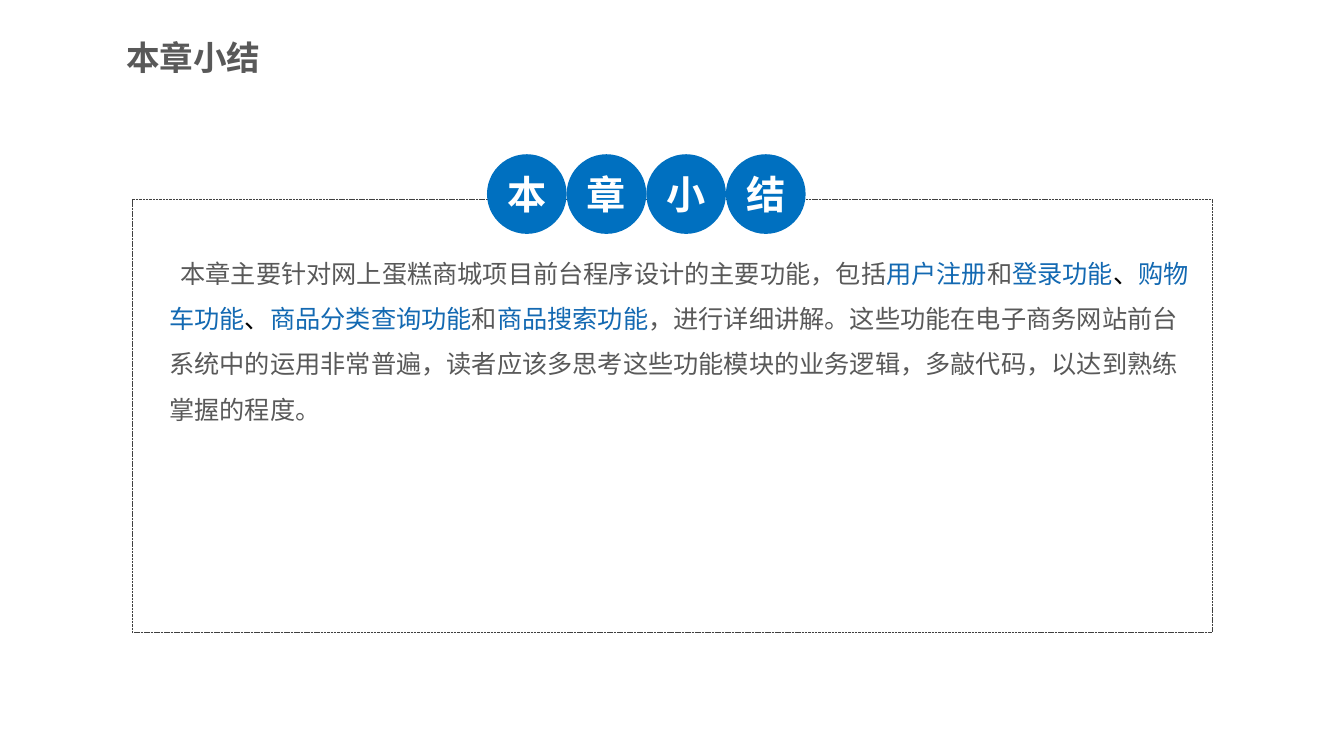
from lxml import etree
from pptx import Presentation
from pptx.dml.color import RGBColor
from pptx.enum import dml, shapes, text
from pptx.oxml import ns
from pptx.util import Inches, Pt

FONT = "Noto Sans CJK SC"
COLORS = {
    "grey": "595959",
    "blue": "1369B2",
    "black": "000000",
    "white": "FFFFFF",
    "badge": "0070C0",
    "frame": "404040",
}
HEADING = "本章小结"
SUMMARY = [
    ("本章主要针对网上蛋糕商城项目前台程序设计的主要功能，包括", "grey"),
    ("用户注册", "blue"),
    ("和", "grey"),
    ("登录功能", "blue"),
    ("、", "black"),
    ("购物车功能", "blue"),
    ("、", "black"),
    ("商品分类查询功能", "blue"),
    ("和", "grey"),
    ("商品搜索功能", "blue"),
    ("，进行详细讲解。这些功能在电子商务网站前台系统中的运用非常普遍，"
     "读者应该多思考这些功能模块的业务逻辑，多敲代码，以达到熟练掌握的程度。", "grey"),
]


def color(name):
    return RGBColor.from_string(COLORS[name])


def format_para(para, size, color_name, bold, align):
    para.alignment = align
    font = para.font
    font.name, font.size, font.bold = FONT, Pt(size), bold
    font.color.rgb = color(color_name)
    # The East Asian typeface follows the Latin one
    latin = para._p.pPr.find(ns.qn("a:defRPr")).find(ns.qn("a:latin"))
    east_asian = etree.Element(ns.qn("a:ea"), typeface=FONT)
    latin.addnext(east_asian)


def place(box, left, top, width, height):
    box.left, box.top = Inches(left), Inches(top)
    box.width, box.height = Inches(width), Inches(height)


def set_frame(frame, anchor, side, edge):
    frame.word_wrap = True
    frame.auto_size = text.MSO_AUTO_SIZE.NONE
    frame.vertical_anchor = anchor
    frame.margin_left = frame.margin_right = Inches(side)
    frame.margin_top = frame.margin_bottom = Inches(edge)


def add_title(page):
    title = page.shapes.title
    place(title, 1.25, 0.29, 4.26, 0.55)
    set_frame(title.text_frame, text.MSO_ANCHOR.MIDDLE, 0, 0.07)
    title.text_frame.text = HEADING
    format_para(title.text_frame.paragraphs[0], 24, "grey", True, text.PP_ALIGN.LEFT)


def add_border(page):
    border = page.shapes.add_shape(
        shapes.MSO_SHAPE.RECTANGLE,
        Inches(1.31), Inches(1.98), Inches(10.71), Inches(4.29))
    border.shadow.inherit = False
    border.fill.background()
    border.line.color.rgb = color("frame")
    border.line.width = Pt(0.25)
    border.line.dash_style = dml.MSO_LINE.SQUARE_DOT


def add_badge(page, character, left, top, diameter):
    badge = page.shapes.add_shape(
        shapes.MSO_SHAPE.OVAL,
        Inches(left), Inches(top), Inches(diameter), Inches(diameter))
    badge.shadow.inherit = False
    badge.fill.solid()
    badge.fill.fore_color.rgb = color("badge")
    badge.line.fill.background()
    set_frame(badge.text_frame, text.MSO_ANCHOR.MIDDLE, 0, 0)
    badge.text_frame.text = character
    format_para(badge.text_frame.paragraphs[0], 28, "white", True, text.PP_ALIGN.CENTER)


def add_summary(page):
    body = page.placeholders[1]
    place(body, 1.55, 2.34, 10.39, 1.9)
    set_frame(body.text_frame, text.MSO_ANCHOR.TOP, 0.13, 0.07)
    para = body.text_frame.paragraphs[0]
    for words, color_name in SUMMARY:
        span = para.add_run()
        span.text = words
        span.font.color.rgb = color(color_name)
    format_para(para, 18, "grey", False, text.PP_ALIGN.LEFT)
    para.line_spacing = 1.5
    para.space_before = Pt(0)
    # First-line indent in place of a bullet
    properties = para._p.pPr
    properties.set("marL", "0")
    properties.set("indent", str(Inches(0.11)))
    no_bullet = etree.Element(ns.qn("a:buNone"))
    properties.find(ns.qn("a:defRPr")).addprevious(no_bullet)


def main():
    deck = Presentation()
    deck.slide_width, deck.slide_height = Inches(13.33), Inches(7.5)
    page = deck.slides.add_slide(deck.slide_layouts[1])

    add_title(page)
    add_border(page)

    # Touching circles, one character each
    diameter = 0.79
    for index, character in enumerate(HEADING):
        add_badge(page, character, 4.83 + index * diameter, 1.53, diameter)

    add_summary(page)
    deck.save("out.pptx")


if __name__ == "__main__":
    main()
